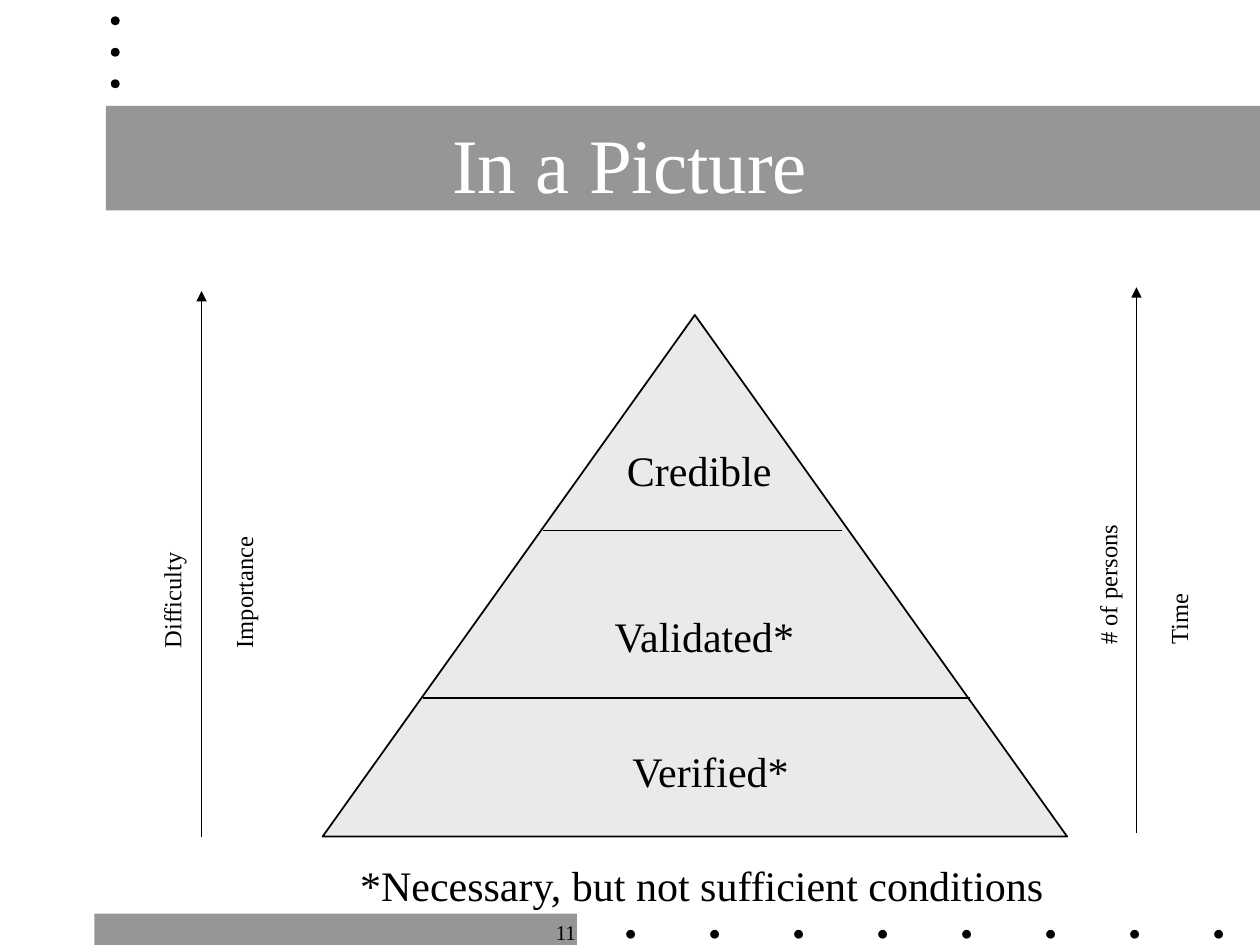
import pptx
import pptx.dml.color
import pptx.enum.shapes
import pptx.enum.text
import pptx.oxml
import pptx.oxml.ns
import pptx.util

Inches = pptx.util.Inches
SHAPE = pptx.enum.shapes.MSO_SHAPE
ALIGN = pptx.enum.text.PP_ALIGN

COLORS = {"band": "969696", "pyramid": "EAEAEA", "ink": "000000", "title": "FFFFFF"}
FONT = "Times New Roman"

TITLE = "In a Picture"
PAGE_NUMBER = "11"
FOOTNOTE = "*Necessary, but not sufficient conditions"

BANDS = [(0.75, 7.25, 3.83, 0.25), (0.84, 0.84, 9.16, 0.83)]
DOT_SIZE = 0.07
DOTS = [(4.97 + 2 / 3 * i, 7.38) for i in range(8)] + [(0.88, 0.13 + 0.25 * i) for i in range(3)]

PYRAMID = (2.56, 2.5, 5.91, 4.14)
DIVIDERS = [(3.36, 7.7, 5.54), (4.31, 6.68, 4.21)]  # left, right, y
LEVELS = [
    ("Verified*", (4.09, 5.87, 3.1, 0.5)),
    ("Validated*", (4.04, 4.8, 3.1, 0.5)),
    ("Credible", (4.75, 3.48, 1.6, 0.5)),
]
# x, bottom, label top, then (label, label left) on each side of the arrow
AXES = [
    (1.6, 6.64, 4.48, [("Difficulty", 0.77), ("Importance", 1.34)]),
    (9.02, 6.61, 4.45, [("# of persons", 8.2), ("Time", 8.76)]),
]
AXIS_LENGTH = 4.33


def rgb(name):
    return pptx.dml.color.RGBColor.from_string(COLORS[name])


def write(shape, text, size=24, color="ink", align=ALIGN.LEFT,
          anchor=pptx.enum.text.MSO_ANCHOR.TOP):
    frame = shape.text_frame
    frame.word_wrap = True
    frame.vertical_anchor = anchor
    paragraph = frame.paragraphs[0]
    paragraph.alignment = align
    run = paragraph.add_run()
    run.text = text
    run.font.name = FONT
    run.font.size = pptx.util.Pt(size)
    run.font.color.rgb = rgb(color)


def add_label(shapes, text, box, rotation=0, **text_format):
    label = shapes.add_textbox(*map(Inches, box))
    label.rotation = rotation
    write(label, text, **text_format)


def add_filled(shapes, kind, box, fill, outlined=False):
    shape = shapes.add_shape(kind, *map(Inches, box))
    shape.shadow.inherit = False
    shape.fill.solid()
    shape.fill.fore_color.rgb = rgb(fill)
    if outlined:
        shape.line.color.rgb = rgb("ink")
        shape.line.width = pptx.util.Pt(1)
    else:
        shape.line.fill.background()


def add_line(shapes, start, end, arrow=False):
    line = shapes.add_connector(pptx.enum.shapes.MSO_CONNECTOR.STRAIGHT,
                                *map(Inches, start + end))
    line.line.color.rgb = rgb("ink")
    line.line.width = pptx.util.Pt(1)
    properties = line._element.spPr
    if arrow:
        head = pptx.oxml.parse_xml(
            f'<a:tailEnd {pptx.oxml.ns.nsdecls("a")} type="triangle"/>')
        properties.find(pptx.oxml.ns.qn("a:ln")).append(head)
    properties.append(pptx.oxml.parse_xml(f'<a:effectLst {pptx.oxml.ns.nsdecls("a")}/>'))


def main():
    deck = pptx.Presentation()
    deck.slide_width, deck.slide_height = Inches(10), Inches(7.5)
    slide = deck.slides.add_slide(deck.slide_layouts[5])
    shapes = slide.shapes

    for band in BANDS:
        add_filled(shapes, SHAPE.RECTANGLE, band, "band")
    for x, y in DOTS:
        add_filled(shapes, SHAPE.OVAL, (x, y, DOT_SIZE, DOT_SIZE), "ink")
    add_label(shapes, PAGE_NUMBER, (4.17, 7.25, 0.5, 0.3), size=12, align=ALIGN.RIGHT)

    title = shapes.title
    title.left, title.top, title.width, title.height = map(Inches, (0.75, 0.67, 8.5, 1.25))
    write(title, TITLE, size=44, color="title", align=ALIGN.CENTER,
          anchor=pptx.enum.text.MSO_ANCHOR.MIDDLE)
    title._element.getparent().append(title._element)  # in front of its band

    pyramid = shapes.add_group_shape().shapes
    add_filled(pyramid, SHAPE.ISOSCELES_TRIANGLE, PYRAMID, "pyramid", outlined=True)
    for left, right, y in DIVIDERS:
        add_line(pyramid, (left, y), (right, y))
    for level, box in LEVELS:
        add_label(shapes, level, box, align=ALIGN.CENTER)

    for x, bottom, label_top, labels in AXES:
        add_line(shapes, (x, bottom), (x, bottom - AXIS_LENGTH), arrow=True)
        for label, left in labels:
            add_label(shapes, label, (left, label_top, 1.19, 0.34), rotation=270, size=14)

    add_label(shapes, FOOTNOTE, (2.76, 6.77, 5.87, 0.5))
    deck.save("out.pptx")


if __name__ == "__main__":
    main()
